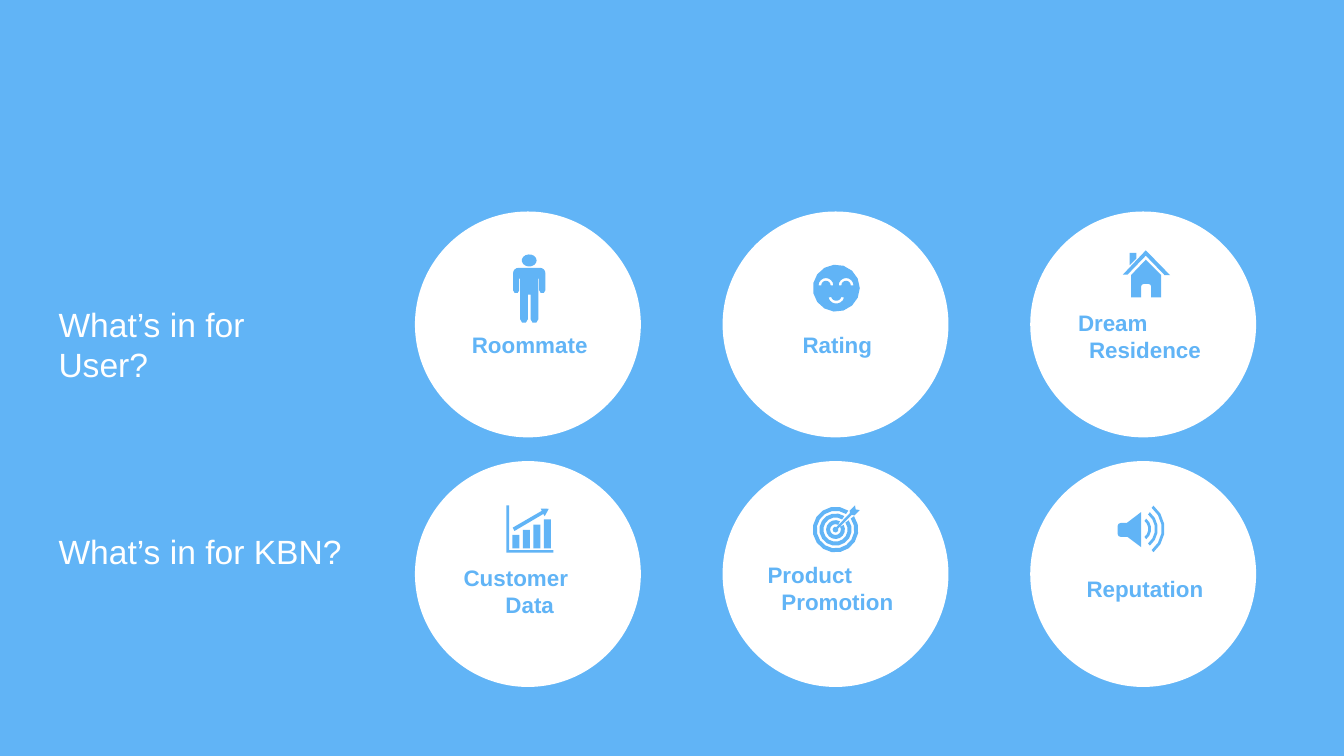
from math import ceil, cos, sin, radians

from pptx import Presentation
from pptx.dml.color import RGBColor
from pptx.enum.shapes import MSO_SHAPE
from pptx.enum.text import MSO_AUTO_SIZE, PP_ALIGN
from pptx.util import Pt

COLORS = {"blue": "61B4F6", "white": "FFFFFF"}
FONT = "Arial"
UNIT = 0.72  # points per icon unit; a square icon is 35 units wide


def rgb(name):
    return RGBColor.from_string(COLORS[name])


# --- outlines, as lists of points in icon units ---
def arc(cx, cy, rx, start, end, ry=None):
    ry = ry or rx
    steps = ceil(abs(end - start) / (24 if rx > 3 else 60))  # coarser when small
    angles = [radians(start + (end - start) * i / steps) for i in range(steps + 1)]
    return [(cx + rx * cos(a), cy + ry * sin(a)) for a in angles]


def band(cx, cy, outer, inner, start, end):
    return arc(cx, cy, outer, start, end) + arc(cx, cy, inner, end, start)


def rect(x, y, w, h):
    return [(x, y), (x + w, y), (x + w, y + h), (x, y + h)]


def person():
    body = (arc(20, 14, 4, -90, 0) + arc(21.7, 26.7, 2.3, 0, 180)
            + [(19.4, 18), (18.8, 18)] + arc(15.9, 48.2, 2.9, 0, 180)
            + [(13, 30), (11, 30)] + arc(8.1, 48.2, 2.9, 0, 180)
            + [(5.2, 18), (4.6, 18)] + arc(2.3, 26.7, 2.3, 0, 180)
            + arc(4, 14, 4, 180, 270))
    return [body, arc(12, 4.5, 5.5, 0, 360, ry=4.5)]


def smiley():
    eyes = [band(x, 15.5, 5.5, 3.5, 180, 360) for x in (9.8, 24.8)]
    return [arc(17.5, 17.5, 17.5, 0, 360), *eyes, band(17.5, 23, 6, 3.9, 15, 165)]


def house():
    walls = [(17, 7), (28.5, 18.5), (28.5, 35), (21, 35)]
    walls += arc(19, 27, 2, 0, -90) + arc(15.5, 27, 2, -90, -180)
    walls += [(13.5, 35), (6, 35), (6, 18.5)]
    chimney = [(5, 2), (10, 2), (10, 6), (5, 11)]
    roof = [(17, 0), (35, 18.5), (31, 18.5), (17, 4), (3.5, 18), (0, 18)]
    return [walls, chimney, roof]


def bar_chart():
    bars = [rect(4.5 + 7.8 * i, 22 - 3.9 * i, 5.2, 10 + 3.9 * i) for i in range(4)]
    trend = [(25.5, 2.3), (31.5, 2.5), (28.5, 8), (27.5, 6.3),
             (6, 19), (4.7, 16.5), (26.3, 4)]
    axes = [(0, 0), (2, 0), (2, 33.3), (35, 33.3), (35, 35), (0, 35)]
    return [*bars, trend, axes]


def target():
    rings = [band(17, 18, r, r - 3, -46 + gap, 314 - gap)
             for r, gap in ((17, 10), (12, 11), (7, 16))]
    arrow = [(31.5, 0), (32, 3), (35, 3.5), (31, 7.5), (29.2, 7)]
    arrow += arc(17, 18, 2.2, -25, 293) + [(27.8, 5.6), (27.5, 4)]
    return [*rings, arrow]


def speaker():
    horn = [(17.5, 5), (17.5, 31), (7.5, 23.5)]
    horn += arc(2.5, 21, 2.5, 90, 180) + arc(2.5, 15.5, 2.5, 180, 270) + [(7, 13)]
    waves = [band(cx, 17.5, r, r - 2.1, -51, 51)
             for cx, r in ((15.2, 9.8), (14, 16), (12.7, 22.3))]
    return [horn, *waves]


# --- parts of the slide ---
def add_icon(slide, x, y, outlines):
    def place(point):
        return Pt(x + point[0] * UNIT), Pt(y + point[1] * UNIT)

    builder = None
    for outline in outlines:
        start, *rest = map(place, outline)
        if builder is None:
            builder = slide.shapes.build_freeform(*start)
        else:
            builder.move_to(*start)
        builder.add_line_segments(rest, close=True)
    sp = builder.convert_to_shape()
    sp.shadow.inherit = False
    sp.fill.solid()
    sp.fill.fore_color.rgb = rgb("blue")
    sp.line.fill.background()


def add_text(slide, x, y, w, h, lines, size, color, bold=False,
             align=PP_ALIGN.LEFT, indent=0, wrap=True):
    tf = slide.shapes.add_textbox(Pt(x), Pt(y), Pt(w), Pt(h)).text_frame
    tf.word_wrap = wrap
    tf.auto_size = MSO_AUTO_SIZE.SHAPE_TO_FIT_TEXT
    tf.text = "\n".join(lines)
    for p in tf.paragraphs:
        p.alignment = align
        font = p.runs[0].font
        font.name, font.size, font.bold = FONT, Pt(size), bold
        font.color.rgb = rgb(color)
    if indent:  # the first of two lines starts further left
        first = tf.paragraphs[0]
        first.alignment = PP_ALIGN.LEFT
        first._p.get_or_add_pPr().set("marL", str(Pt(indent)))


def add_benefit(slide, x, y, size, icon, icon_dx, icon_dy, lines, label_dy, indent=0):
    sp = slide.shapes.add_shape(MSO_SHAPE.OVAL, Pt(x), Pt(y), Pt(size), Pt(size))
    sp.shadow.inherit = False
    sp.fill.solid()
    sp.fill.fore_color.rgb = rgb("white")
    sp.line.fill.background()
    add_icon(slide, x + icon_dx, y + icon_dy, icon())
    add_text(slide, x + 14, y + label_dy, 95, 7.2 + 14.4 * len(lines), lines, 12,
             "blue", True, PP_ALIGN.CENTER, indent)


def add_benefit_row(slide, x, y, step, size, benefits):
    for i, benefit in enumerate(benefits):
        add_benefit(slide, x + i * step, y, size, *benefit)


# icon, its offset in the circle, label lines, label offset, first-line indent
USER_BENEFITS = [
    (person, 52.6, 23, ["Roommate"], 60.5),
    (smiley, 48.3, 28.5, ["Rating"], 60.5),
    (house, 49.7, 20.8, ["Dream", "Residence"], 48.8, 4.5),
]
COMPANY_BENEFITS = [
    (bar_chart, 49, 23.8, ["Customer", "Data"], 51.8, 5),
    (target, 48.3, 23.8, ["Product", "Promotion"], 50, 3),
    (speaker, 46.8, 23.8, ["Reputation"], 57.5),
]


def main():
    prs = Presentation()
    prs.slide_width, prs.slide_height = Pt(720), Pt(405)
    slide = prs.slides.add_slide(prs.slide_layouts[6])
    slide.background.fill.solid()
    slide.background.fill.fore_color.rgb = rgb("blue")

    # Circles
    add_benefit_row(slide, 222.3, 113.3, 164.8, 121, USER_BENEFITS)
    add_benefit_row(slide, 222.3, 247, 164.8, 121, COMPANY_BENEFITS)

    # Row headings
    add_text(slide, 24.3, 159.3, 164, 29, ["What’s in for User?"], 18, "white")
    add_text(slide, 24.3, 281, 168.5, 29, ["What’s in for KBN?"], 18, "white", wrap=False)
    prs.save("out.pptx")


if __name__ == "__main__":
    main()
